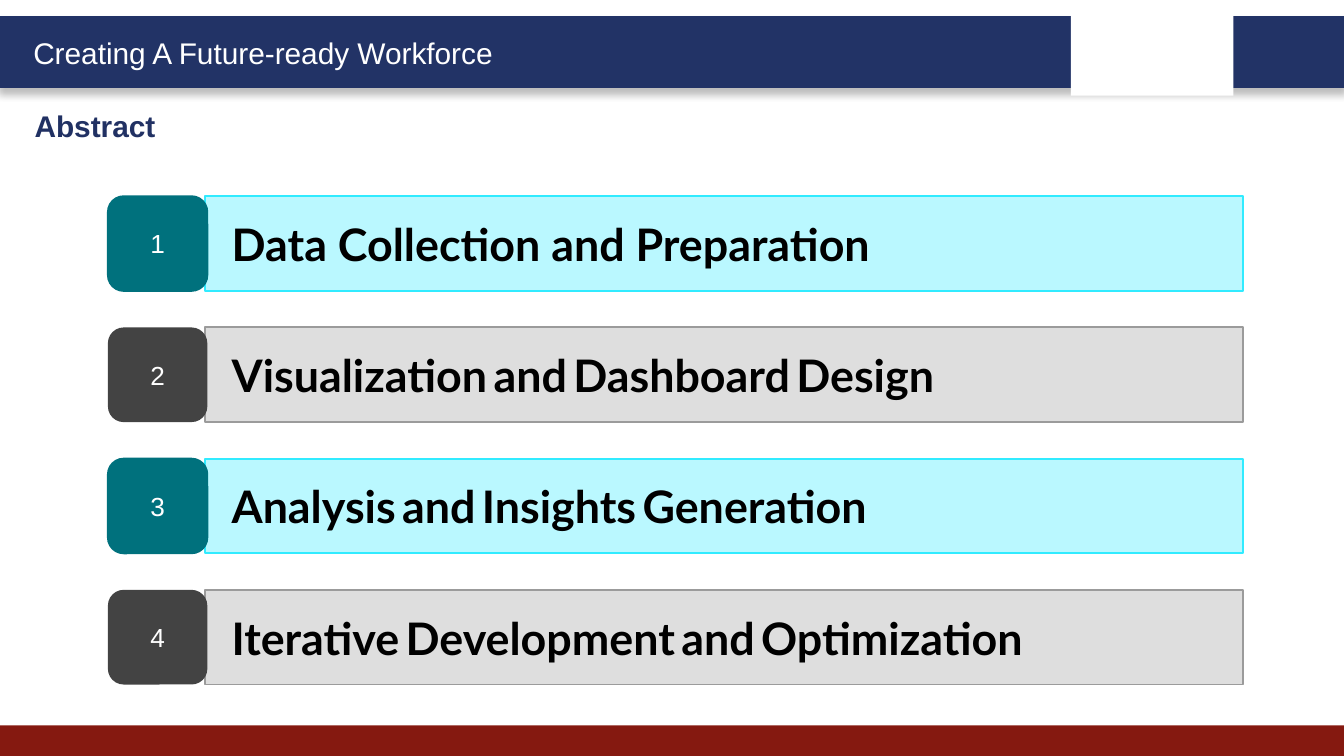
from lxml import etree
from pptx import Presentation
from pptx.dml.color import RGBColor
from pptx.enum.shapes import MSO_SHAPE
from pptx.enum.text import MSO_ANCHOR, PP_ALIGN
from pptx.oxml.ns import qn
from pptx.util import Cm, Pt

RECT, ROUND = MSO_SHAPE.RECTANGLE, MSO_SHAPE.ROUNDED_RECTANGLE
LEFT, CENTER = PP_ALIGN.LEFT, PP_ALIGN.CENTER
TOP, MIDDLE = MSO_ANCHOR.TOP, MSO_ANCHOR.MIDDLE

COLORS = {
    "band": "223366", "title": "213163", "foot": "851910",
    "white": "FFFFFF", "black": "000000", "gap": "ECECEC",
    "teal": "00717D", "aqua": "BAF8FF", "cyan": "31EBFF",
    "dark": "434343", "pale": "DEDEDE", "gray": "9B9B9B",
}
# badge fill, badge line, bar fill, bar line
THEMES = [("teal", "teal", "aqua", "cyan"), ("dark", None, "pale", "gray")]

# Each topic is a list of phrases, set apart by a small space
TOPICS = [
    ["Data Collection and Preparation"],
    ["Visualization", "and", "Dashboard", "Design"],
    ["Analysis", "and", "Insights", "Generation"],
    ["Iterative", "Development", "and", "Optimization"],
]


def color(name):
    return RGBColor.from_string(COLORS[name])


def add_box(shapes, kind, box, fill, line=None, width=1):
    shape = shapes.add_shape(kind, *map(Cm, box))
    shape.shadow.inherit = False
    shape.fill.solid()
    shape.fill.fore_color.rgb = color(fill)
    if line:
        shape.line.color.rgb = color(line)
        shape.line.width = Pt(width)
    else:
        shape.line.fill.background()
    return shape


def add_run(para, text, size, tint, font="Arial", bold=False):
    run = para.add_run()
    run.text = text
    run.font.name = font
    run.font.size = Pt(size)
    run.font.bold = bold
    run.font.color.rgb = color(tint)


def set_frame(shape, anchor, align):
    """Format the text frame and return its first paragraph."""
    frame = shape.text_frame
    frame.word_wrap = True
    frame.vertical_anchor = anchor
    para = frame.paragraphs[0]
    para.alignment = align
    return para


def drop_shadow(shape):
    effects = shape._element.spPr.find(qn("a:effectLst"))
    shade = etree.SubElement(
        effects, qn("a:outerShdw"), blurRad=str(Pt(4)), dist=str(Pt(3)),
        dir="5400000", algn="t", rotWithShape="0")
    tint = etree.SubElement(shade, qn("a:srgbClr"), val=COLORS["black"])
    etree.SubElement(tint, qn("a:alpha"), val="25000")


def add_header(slide, box):
    x, y, w, h = box
    band = add_box(slide.shapes, RECT, box, "band", "band", 2)
    drop_shadow(band)
    add_box(slide.shapes, RECT, (x + 20.24, y - 0.15, 3.07, 1.63), "white")
    label = slide.shapes.add_textbox(Cm(x + 0.38), Cm(y + 0.2), Cm(9.6), Cm(0.94))
    add_run(set_frame(label, TOP, LEFT), "Creating A Future-ready Workforce",
            16, "white")


def set_title(slide, box):
    title = slide.shapes.title
    title.left, title.top, title.width, title.height = map(Cm, box)
    add_run(set_frame(title, TOP, LEFT), "Abstract", 16, "title", bold=True)


def add_topic(slide, box, num, words, theme):
    x, y, w, h = box
    badge_fill, badge_line, bar_fill, bar_line = theme
    shapes = slide.shapes.add_group_shape().shapes

    bar = add_box(shapes, RECT, (x + 1.84, y, w - 1.84, h), bar_fill, bar_line)
    para = set_frame(bar, MIDDLE, LEFT)
    para._p.get_or_add_pPr().set("marL", str(Cm(0.25)))
    for i, word in enumerate(words):
        if i:
            add_run(para, " ", 14, "gap", "Lato", True)
        add_run(para, word, 24, "black", "Lato", True)

    badge = add_box(shapes, ROUND, (x, y, 1.88, h), badge_fill, badge_line)
    add_run(set_frame(badge, MIDDLE, CENTER), str(num), 14, "white")


def add_list(slide, box):
    x, y, w, h = box
    row = 1.79
    step = (h - row) / (len(TOPICS) - 1)
    for i, words in enumerate(TOPICS):
        add_topic(slide, (x, y + i * step, w, row), i + 1, words,
                  THEMES[i % len(THEMES)])


def main():
    deck = Presentation()
    deck.slide_width, deck.slide_height = Cm(25.4), Cm(14.29)
    slide = deck.slides.add_slide(deck.slide_layouts[5])
    add_header(slide, (0, 0.33, 25.4, 1.3))
    add_box(slide.shapes, RECT, (0, 13.71, 25.4, 0.58), "foot")
    set_title(slide, (0.4, 1.9, 12.3, 0.94))
    add_list(slide, (2.04, 3.71, 21.45, 9.23))
    deck.save("out.pptx")


if __name__ == "__main__":
    main()
